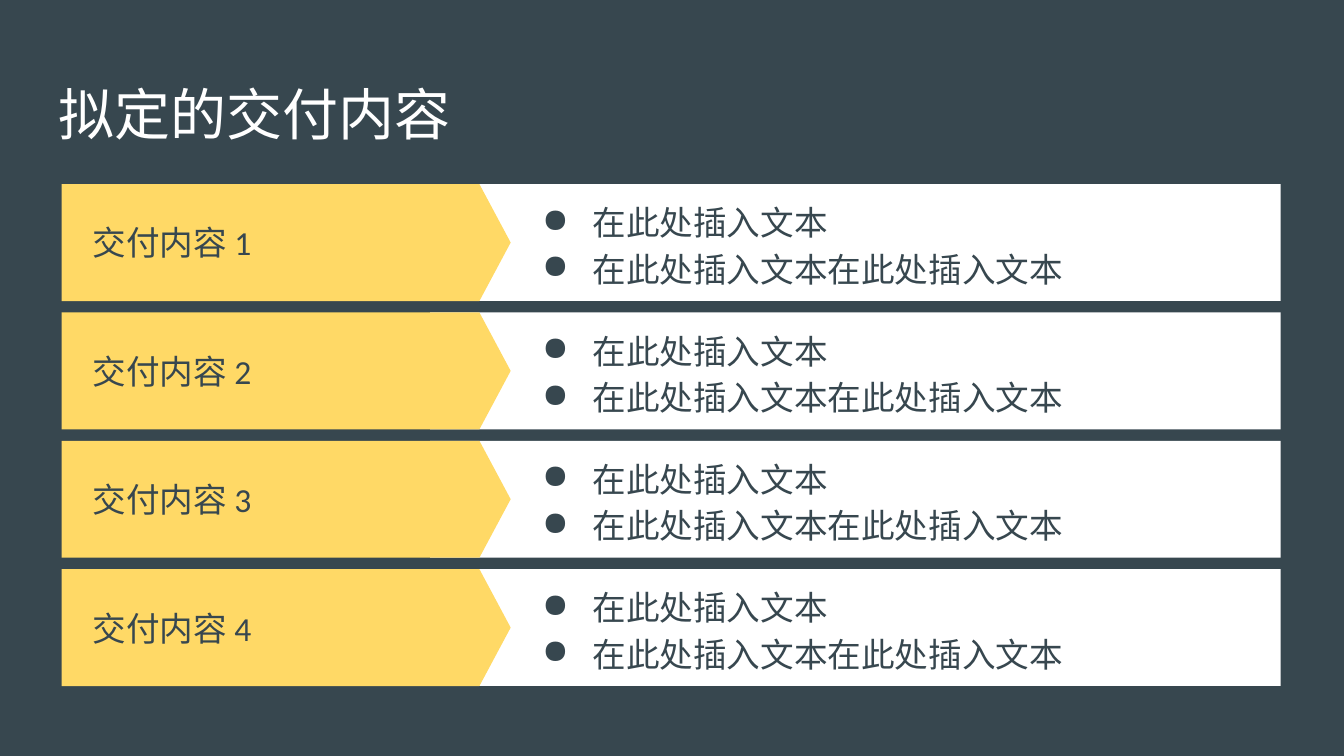
from dataclasses import dataclass

from lxml import etree
from pptx import Presentation
from pptx.dml.color import RGBColor
from pptx.enum.shapes import MSO_SHAPE
from pptx.enum.text import MSO_ANCHOR
from pptx.oxml.ns import qn
from pptx.util import Emu, Pt

RECTANGLE = MSO_SHAPE.RECTANGLE
PENTAGON = MSO_SHAPE.PENTAGON
TOP = MSO_ANCHOR.TOP
MIDDLE = MSO_ANCHOR.MIDDLE

EMU_PER_PX = 4572  # 200 px to the inch


@dataclass(frozen=True)
class Theme:
    slate: str = "37474F"
    white: str = "FFFFFF"
    yellow: str = "FFD966"
    title_font: str = "Arial Narrow"
    body_font: str = "Calibri"
    title_size: int = 30
    body_size: int = 18
    line_spacing: float = 1.15


@dataclass(frozen=True)
class Area:
    left: int
    top: int
    width: int
    height: int


@dataclass(frozen=True)
class TextStyle:
    font: str
    size: int
    color: str


@dataclass(frozen=True)
class Deliverable:
    label: str
    points: tuple[str, ...]


THEME = Theme()
TITLE_STYLE = TextStyle(THEME.title_font, THEME.title_size, THEME.white)
BODY_STYLE = TextStyle(THEME.body_font, THEME.body_size, THEME.slate)

SLIDE_WIDTH, SLIDE_HEIGHT = 2000, 1125
FIRST_ROW_TOP, ROW_HEIGHT, ROW_PITCH = 274, 174, 191
TEXT_INSET = 20
BULLET_MARGIN, BULLET_HANG = 100, 75
ARROW_POINT = 0.267

POINTS = ("在此处插入文本", "在此处插入文本在此处插入文本")
DELIVERABLES = [Deliverable(f"交付内容 {number}", POINTS) for number in range(1, 5)]


def px(length: int) -> Emu:
    return Emu(length * EMU_PER_PX)


def bounds(area: Area) -> tuple[Emu, Emu, Emu, Emu]:
    return px(area.left), px(area.top), px(area.width), px(area.height)


def add_panel(group, kind, area: Area, color: str):
    panel = group.shapes.add_shape(kind, *bounds(area))
    panel.shadow.inherit = False
    panel.fill.solid()
    panel.fill.fore_color.rgb = RGBColor.from_string(color)
    panel.line.fill.background()
    return panel


def add_bullet(para) -> None:
    """Give the paragraph a hanging round bullet in the text colour."""
    properties = para._p.get_or_add_pPr()
    properties.set("marL", str(px(BULLET_MARGIN)))
    properties.set("indent", str(px(-BULLET_HANG)))
    color = etree.SubElement(properties, qn("a:buClr"))
    etree.SubElement(color, qn("a:srgbClr"), val=THEME.slate)
    etree.SubElement(properties, qn("a:buChar"), char="●")


def add_text(page, area: Area, lines: tuple[str, ...], style: TextStyle,
             anchor=MIDDLE, bulleted: bool = False) -> None:
    frame = page.shapes.add_textbox(*bounds(area)).text_frame
    frame.word_wrap = True
    frame.vertical_anchor = anchor
    frame.margin_left = frame.margin_right = px(TEXT_INSET)
    frame.margin_top = frame.margin_bottom = px(TEXT_INSET)
    for index, line in enumerate(lines):
        para = frame.add_paragraph() if index else frame.paragraphs[0]
        if bulleted:
            add_bullet(para)
            para.line_spacing = THEME.line_spacing
        span = para.add_run()
        span.text = line
        span.font.name = style.font
        span.font.size = Pt(style.size)
        span.font.color.rgb = RGBColor.from_string(style.color)


def add_deliverable(page, item: Deliverable, top: int) -> None:
    group = page.shapes.add_group_shape()
    add_panel(group, RECTANGLE, Area(640, top, 1266, ROW_HEIGHT), THEME.white)
    arrow = add_panel(group, PENTAGON, Area(92, top, 668, ROW_HEIGHT), THEME.yellow)
    arrow.adjustments[0] = ARROW_POINT
    add_text(page, Area(118, top, 530, ROW_HEIGHT), (item.label,), BODY_STYLE)
    add_text(page, Area(762, top, 1118, ROW_HEIGHT), item.points, BODY_STYLE,
             bulleted=True)


def main() -> None:
    deck = Presentation()
    deck.slide_width, deck.slide_height = px(SLIDE_WIDTH), px(SLIDE_HEIGHT)
    page = deck.slides.add_slide(deck.slide_layouts[6])
    page.background.fill.solid()
    page.background.fill.fore_color.rgb = RGBColor.from_string(THEME.slate)

    add_text(page, Area(68, 98, 1864, 126), ("拟定的交付内容",), TITLE_STYLE, TOP)
    for index, item in enumerate(DELIVERABLES):
        add_deliverable(page, item, FIRST_ROW_TOP + index * ROW_PITCH)
    deck.save("out.pptx")


if __name__ == "__main__":
    main()
